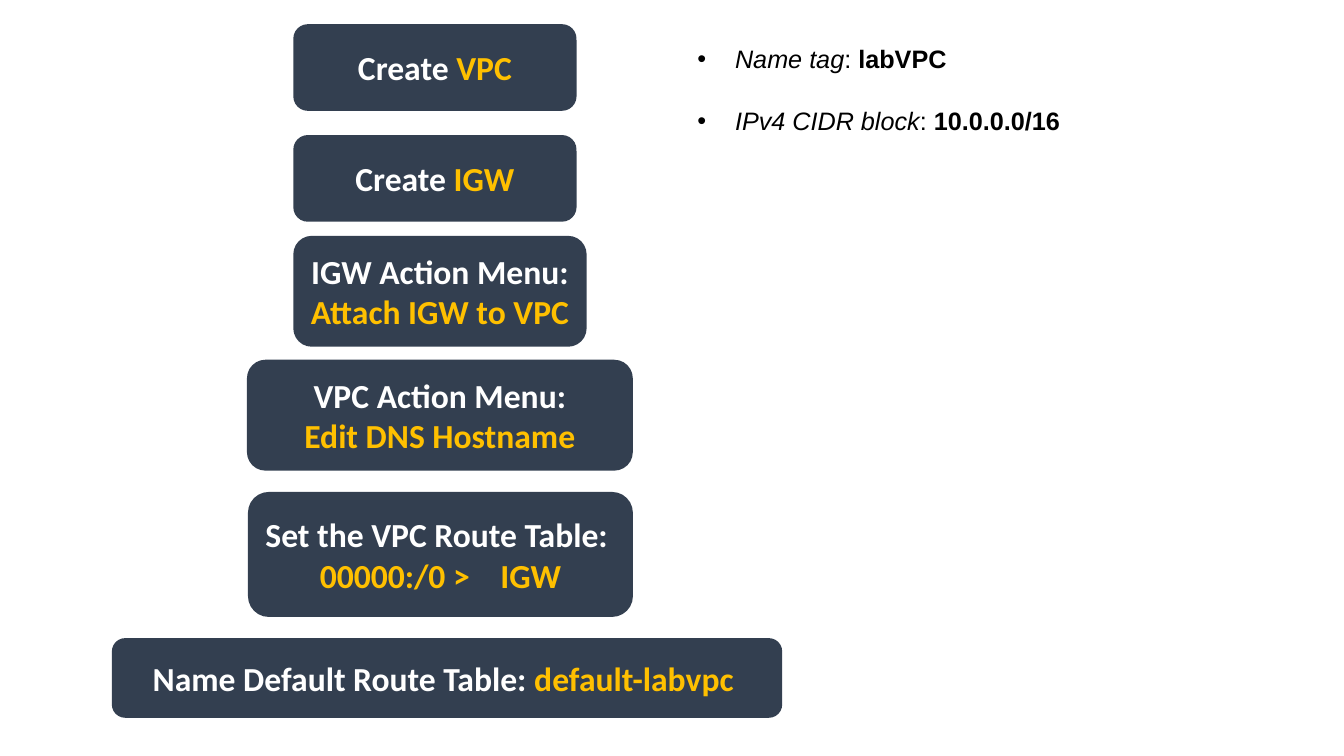
from pptx import Presentation
from pptx.util import Pt
from pptx.dml.color import RGBColor as Rgb
from pptx.enum.shapes import MSO_SHAPE as Shape
from pptx.enum.text import PP_ALIGN as Align, MSO_ANCHOR as Anchor, MSO_AUTO_SIZE as Fit
from pptx.oxml import parse_xml
from pptx.oxml.ns import nsdecls

STEPS = [
    ((209.5, 17.3, 202.3, 61.9), [[("Create ", "head"), ("VPC", "mark")]]),
    ((209.5, 96.5, 202.3, 61.9), [[("Create ", "head"), ("IGW", "mark")]]),
    ((209.5, 168.5, 209.5, 79.2),
     [[("IGW Action Menu: ", "head"), ("Attach IGW to VPC", "mark")]]),
    ((176.4, 257, 275.6, 79.2),
     [[("VPC Action Menu:", "head")], [("Edit DNS Hostname", "mark")]]),
    ((177.1, 351.4, 275, 89.3),
     [[("Set the VPC Route Table: ", "head")],
      [("00000:/0 >", "mark"), (" ", "gap"), ("IGW", "mark")]]),
    ((79.9, 455.8, 478.8, 56.9),
     [[("Name Default Route Table: ", "head"), ("default-labvpc ", "mark")]]),
]
NOTES = [("Name tag", "labVPC"), ("IPv4 CIDR block", "10.0.0.0/16")]
NOTE_BOX = (491, 27.4, 480.2, 72.7)

STEP = {"name": "Calibri", "size": Pt(24), "bold": True}
NOTE = {"name": "Arial", "size": Pt(18), "bold": False, "italic": False}
THEME = {
    "fill": "333F50",
    "gap": 16.3,
    "indent": 27,
    "space": 23,
    "head": (STEP, "FFFFFF"),
    "mark": (STEP, "FFC000"),
    "term": ({**NOTE, "italic": True}, "000000"),
    "plain": (NOTE, "000000"),
    "value": ({**NOTE, "bold": True}, "000000"),
}


def put(item, values):
    for key, value in values.items():
        setattr(item, key, value)


def write(para, parts):
    for text, kind in parts:
        run = para.add_run()
        run.text = text
        font, color = THEME["mark" if kind == "gap" else kind]
        put(run.font, font)
        run.font.color.rgb = Rgb.from_string(color)
        if kind == "gap":
            run.font._element.set("spc", str(round(THEME["gap"] * 100)))


def lines(frame, count):
    return [frame.paragraphs[0]] + [frame.add_paragraph() for _ in range(count - 1)]


def add_step(slide, box, rows):
    card = slide.shapes.add_shape(Shape.ROUNDED_RECTANGLE, *map(Pt, box))
    card.shadow.inherit = False
    card.fill.solid()
    card.fill.fore_color.rgb = Rgb.from_string(THEME["fill"])
    card.line.fill.background()
    frame = card.text_frame
    put(frame, {"word_wrap": True, "vertical_anchor": Anchor.MIDDLE})
    for para, parts in zip(lines(frame, len(rows)), rows):
        para.alignment = Align.CENTER
        write(para, parts)


def add_notes(slide):
    frame = slide.shapes.add_textbox(*map(Pt, NOTE_BOX)).text_frame
    put(frame, {"word_wrap": True, "auto_size": Fit.SHAPE_TO_FIT_TEXT})
    for row, (para, (term, value)) in enumerate(zip(lines(frame, len(NOTES)), NOTES)):
        para.space_before = Pt(THEME["space"] if row else 0)
        props = para._p.get_or_add_pPr()
        props.set("marL", str(Pt(THEME["indent"])))
        props.set("indent", str(-Pt(THEME["indent"])))
        props.append(parse_xml(f'<a:buFont {nsdecls("a")} typeface="Arial"/>'))
        props.append(parse_xml(f'<a:buChar {nsdecls("a")} char="•"/>'))
        write(para, [(term, "term"), (": ", "plain"), (value, "value")])


def main():
    deck = Presentation()
    put(deck, {"slide_width": Pt(960), "slide_height": Pt(540)})
    slide = deck.slides.add_slide(deck.slide_layouts[6])
    for box, rows in STEPS:
        add_step(slide, box, rows)
    add_notes(slide)
    deck.save("out.pptx")


if __name__ == "__main__":
    main()
